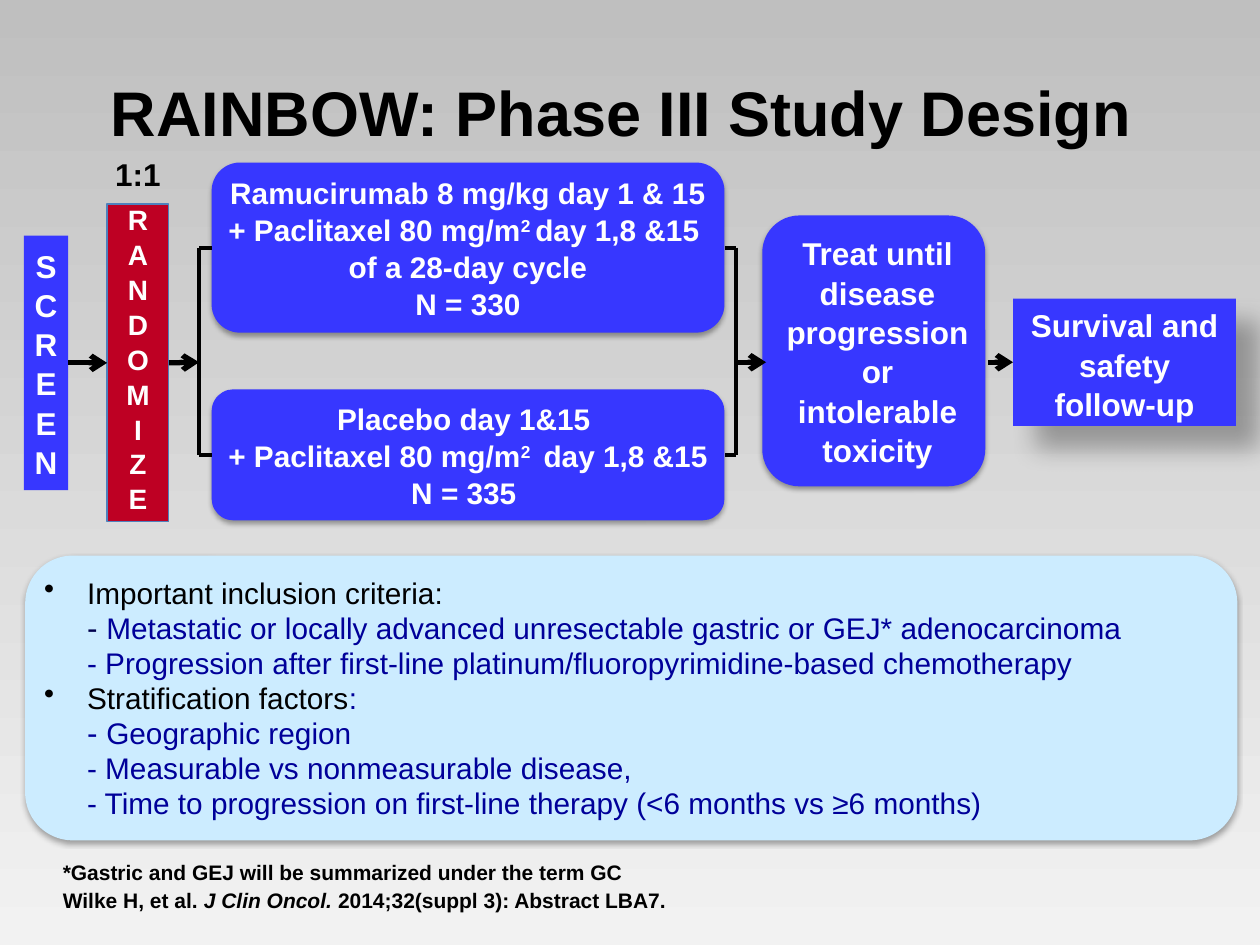
from pptx import Presentation
from pptx.dml.color import RGBColor
from pptx.enum.shapes import MSO_CONNECTOR, MSO_SHAPE
from pptx.enum.text import MSO_ANCHOR, PP_ALIGN
from pptx.oxml.ns import qn
from pptx.util import Inches, Pt
from lxml import etree

RECTANGLE, ROUNDED = MSO_SHAPE.RECTANGLE, MSO_SHAPE.ROUNDED_RECTANGLE
STRAIGHT = MSO_CONNECTOR.STRAIGHT
LEFT, CENTER = PP_ALIGN.LEFT, PP_ALIGN.CENTER
TOP, MIDDLE, BOTTOM = MSO_ANCHOR.TOP, MSO_ANCHOR.MIDDLE, MSO_ANCHOR.BOTTOM
LEFT_SIDE, RIGHT_SIDE = 1, 3

BLACK = RGBColor(0x00, 0x00, 0x00)
WHITE = RGBColor(0xFF, 0xFF, 0xFF)
BLUE = RGBColor(0x37, 0x37, 0xFF)
RED = RGBColor(0xBE, 0x00, 0x23)
RED_BORDER = RGBColor(0x4F, 0x81, 0xBD)
PALE_BLUE = RGBColor(0xCC, 0xEC, 0xFF)
NAVY = RGBColor(0x00, 0x00, 0x99)
DARK_NAVY = RGBColor(0x00, 0x00, 0x4D)
GRAY_TOP = RGBColor(0xBF, 0xBF, 0xBF)
GRAY_BOTTOM = RGBColor(0xF2, 0xF2, 0xF2)

COLUMNS, ROWS = 100, 75
FONT = "Arial"
# opacity in percent, blur and distance in points, direction in degrees
SOFT_SHADOW = (35, 3.1, 1.8, 90)
WIDE_SHADOW = (30, 15, 18, 45)


class StudySlide:
    """Places elements on a grid of 100 columns by 75 rows."""

    def __init__(self, deck):
        self.column = deck.slide_width / COLUMNS
        self.row = deck.slide_height / ROWS
        self.page = deck.slides.add_slide(deck.slide_layouts[5])
        fill = self.page.background.fill
        fill.gradient()
        fill.gradient_angle = 270
        for stop, color in zip(fill.gradient_stops, (GRAY_TOP, GRAY_BOTTOM)):
            stop.color.rgb = color

    def place(self, left, top, width, height):
        return (round(left * self.column), round(top * self.row),
                round(width * self.column), round(height * self.row))

    def set_text(self, shape, lines, size, color=BLACK, bold=True, align=CENTER,
                 anchor=TOP, insets=(0.1, 0.05), spacing=1.04, wrap=True):
        """Each line is a string or a list of (text, format) spans."""
        frame = shape.text_frame
        frame.word_wrap = wrap
        frame.vertical_anchor = anchor
        frame.margin_left = frame.margin_right = Inches(insets[0])
        frame.margin_top = frame.margin_bottom = Inches(insets[1])
        for index, line in enumerate(lines):
            para = frame.add_paragraph() if index else frame.paragraphs[0]
            para.alignment, para.line_spacing = align, spacing
            font = para.font
            font.name, font.size, font.bold = FONT, Pt(size), bold
            font.color.rgb = color
            for text, style in [(line, {})] if isinstance(line, str) else line:
                span = para.add_run()
                span.text = text
                if "size" in style:
                    span.font.size = Pt(style["size"])
                if "color" in style:
                    span.font.color.rgb = style["color"]
                if "italic" in style:
                    span.font.italic = True
                if "raised" in style:
                    span._r.get_or_add_rPr().set("baseline", "30000")

    def title(self, text, *area):
        box = self.page.shapes.title
        box.left, box.top, box.width, box.height = self.place(*area)
        self.set_text(box, [text], 36, anchor=MIDDLE, spacing=0.95, wrap=False)

    def label(self, line, size, *area, align=LEFT):
        box = self.page.shapes.add_textbox(*self.place(*area))
        self.set_text(box, [line], size, align=align, spacing=0.95)

    def box(self, kind, area, lines, size, fill=BLUE, border=None,
            shadow=None, color=WHITE, **text_style):
        shape = self.page.shapes.add_shape(kind, *self.place(*area))
        shape.fill.solid()
        shape.fill.fore_color.rgb = fill
        if border is None:
            shape.line.fill.background()
        else:
            shape.line.color.rgb = border
            shape.line.width = Pt(0.75)
        shape.shadow.inherit = False
        if shadow:
            self.cast_shadow(shape, *shadow)
        self.set_text(shape, lines, size, color, **text_style)
        return shape

    def cast_shadow(self, shape, opacity, blur, distance, direction):
        effects = shape._element.spPr.find(qn("a:effectLst"))
        outer = etree.SubElement(
            effects, qn("a:outerShdw"), blurRad=str(Pt(blur)),
            dist=str(Pt(distance)), dir=str(direction * 60000), rotWithShape="0")
        tint = etree.SubElement(outer, qn("a:srgbClr"), val=str(BLACK))
        etree.SubElement(tint, qn("a:alpha"), val=str(opacity * 1000))

    def line(self, start, end, source=None, target=None, arrow=False):
        """Join to source's right side or to (shape, side) of target."""
        ends = [round(step * unit) for point in (start, end)
                for step, unit in zip(point, (self.column, self.row))]
        link = self.page.shapes.add_connector(STRAIGHT, *ends)
        if source:
            link.begin_connect(source, RIGHT_SIDE)
        if target:
            link.end_connect(*target)
        link.line.color.rgb = BLACK
        link.line.width = Pt(3 if arrow else 2.25)
        properties = link._element.spPr
        if arrow:
            etree.SubElement(properties.find(qn("a:ln")), qn("a:tailEnd"), type="arrow")
        etree.SubElement(properties, qn("a:effectLst"))

    def bracket(self, x, arms, side, middles):
        for arm, middle in zip(arms, middles):
            edge = arm.left if side == LEFT_SIDE else arm.left + arm.width
            self.line((x, middle), (edge / self.column, middle), target=(arm, side))
        self.line((x, middles[0]), (x, middles[1]))


def indent_criteria(shape, headings):
    for index, para in enumerate(shape.text_frame.paragraphs):
        properties = para._p.get_or_add_pPr()
        properties.set("marL", str(Inches(0.34)))
        if index in headings:
            properties.set("indent", str(-Inches(0.34)))
            bullet = etree.Element(qn("a:buChar"), char="•")
            properties.find(qn("a:defRPr")).addprevious(bullet)


def main():
    deck = Presentation()
    deck.slide_width, deck.slide_height = Inches(10), Inches(7.5)
    slide = StudySlide(deck)
    slide.title("RAINBOW: Phase III Study Design ", 7.4, 5.7, 85.2, 6.8)
    slide.label("1:1", 18, 6.2, 12, 9.5, 3.9, align=CENTER)

    screen = slide.box(RECTANGLE, (1.9, 18.7, 3.5, 20.2), list("SCREEN"), 18,
                       anchor=MIDDLE, insets=(0, 0))
    randomize = slide.box(RECTANGLE, (8.5, 16.2, 4.9, 25.2), list("RANDOMIZE"), 16,
                          fill=RED, border=RED_BORDER, anchor=BOTTOM)

    raised = ("2 ", {"raised": True})
    dose = "+ Paclitaxel 80 mg/m"
    arm_texts = (
        (12.9, 13.5, ["Ramucirumab 8 mg/kg day 1 & 15",
                      [(dose, {}), raised, ("day 1,8 &15 ", {})],
                      "of a 28-day cycle", "N = 330"]),
        (30.9, 10.4, ["Placebo day 1&15 ",
                      [(dose, {}), raised, (" day 1,8 &15", {})],
                      "N = 335 "]),
    )
    arms = [slide.box(ROUNDED, (16.8, top, 40.7, height), lines, 17,
                      shadow=SOFT_SHADOW, anchor=MIDDLE, insets=(0.04, 0.04))
            for top, height, lines in arm_texts]
    treat = slide.box(ROUNDED, (60.5, 17.1, 17.7, 21.5),
                      ["Treat until disease progression or intolerable toxicity"],
                      18, shadow=SOFT_SHADOW, anchor=MIDDLE, insets=(0.02, 0.08))
    treat.text_frame.paragraphs[0]._p.get_or_add_pPr().set("marL", str(Inches(0.06)))
    survival = slide.box(RECTANGLE, (80.4, 23.7, 17.7, 10.1),
                         ["Survival and safety follow-up"], 18, shadow=WIDE_SHADOW)

    middles = [top + height / 2 for top, height, _ in arm_texts]
    slide.bracket(15.8, arms, LEFT_SIDE, middles)
    slide.bracket(58.4, arms, RIGHT_SIDE, middles)
    flow = 28.75
    slide.line((5.4, flow), (8.5, flow), screen, (randomize, LEFT_SIDE), arrow=True)
    slide.line((13.4, flow), (15.8, flow), randomize, arrow=True)
    slide.line((58.4, flow), (60.8, flow), arrow=True)
    slide.line((78.4, flow), (80.4, flow), target=(survival, LEFT_SIDE), arrow=True)

    heading = {"color": BLACK}
    criteria = slide.box(
        ROUNDED, (2, 44.1, 96.2, 22.6),
        [[("Important inclusion criteria:", heading)],
         [("- ", {"size": 18, "color": DARK_NAVY}),
          ("Metastatic or locally advanced unresectable gastric or GEJ* adenocarcinoma", {})],
         "- Progression after first-line platinum/fluoropyrimidine-based chemotherapy",
         [("Stratification factors", heading), (":", {})],
         [("- ", {"size": 18}), ("Geographic region", {})],
         "- Measurable vs nonmeasurable disease,",
         "- Time to progression on first-line therapy (<6 months vs ≥6 months)"],
        17, fill=PALE_BLUE, shadow=SOFT_SHADOW, color=NAVY, bold=False, align=LEFT,
        anchor=MIDDLE, insets=(0.04, 0.04), spacing=Pt(20))
    indent_criteria(criteria, headings=(0, 3))

    slide.label("*Gastric and GEJ will be summarized under the term GC", 12,
                4, 67.9, 92, 2.9)
    slide.label([("Wilke H, et al. ", {}), ("J Clin Oncol. ", {"italic": True}),
                 ("2014;32(suppl 3): Abstract LBA7.", {})], 12, 4, 70.1, 67.9, 2.9)
    deck.save("out.pptx")


if __name__ == "__main__":
    main()
